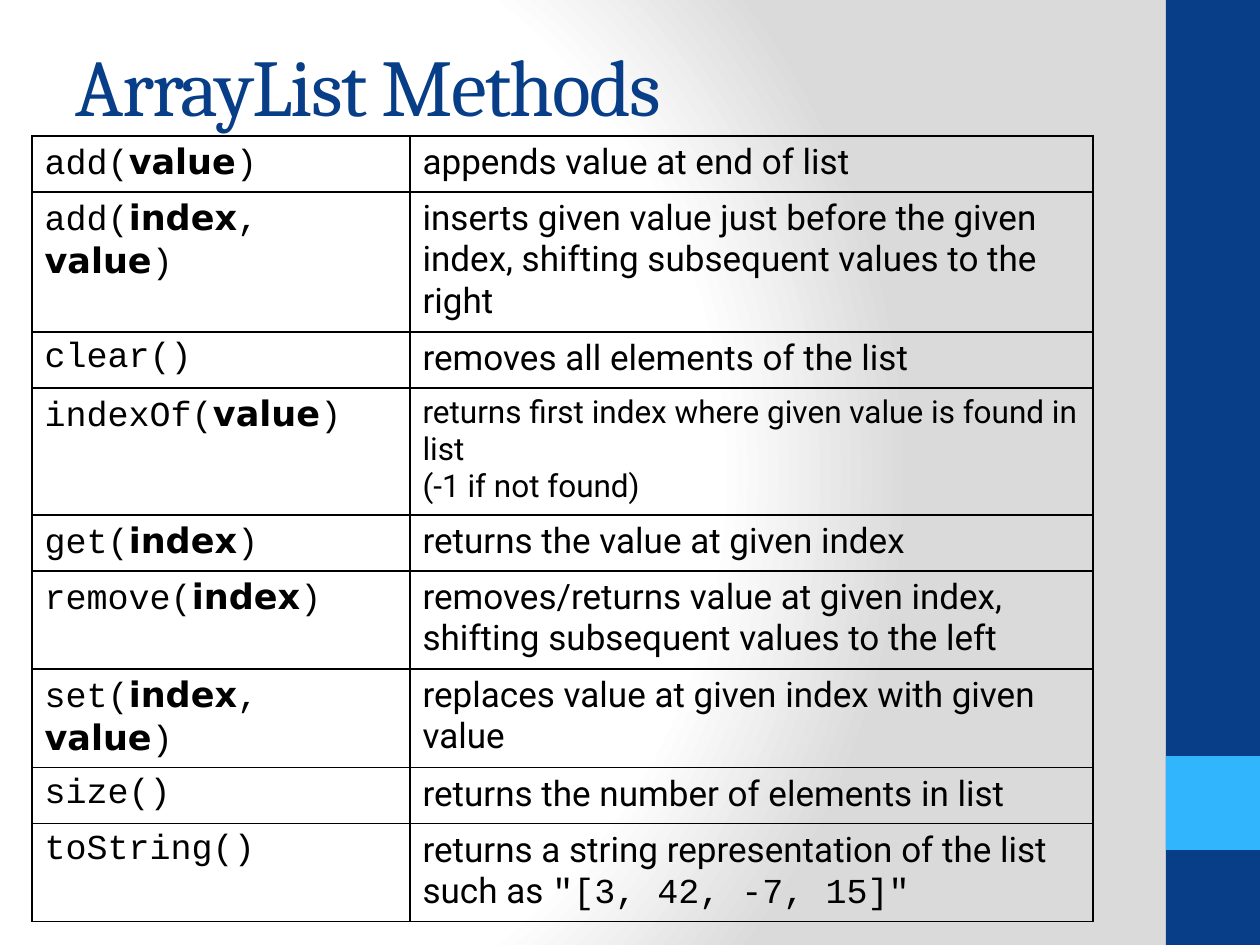
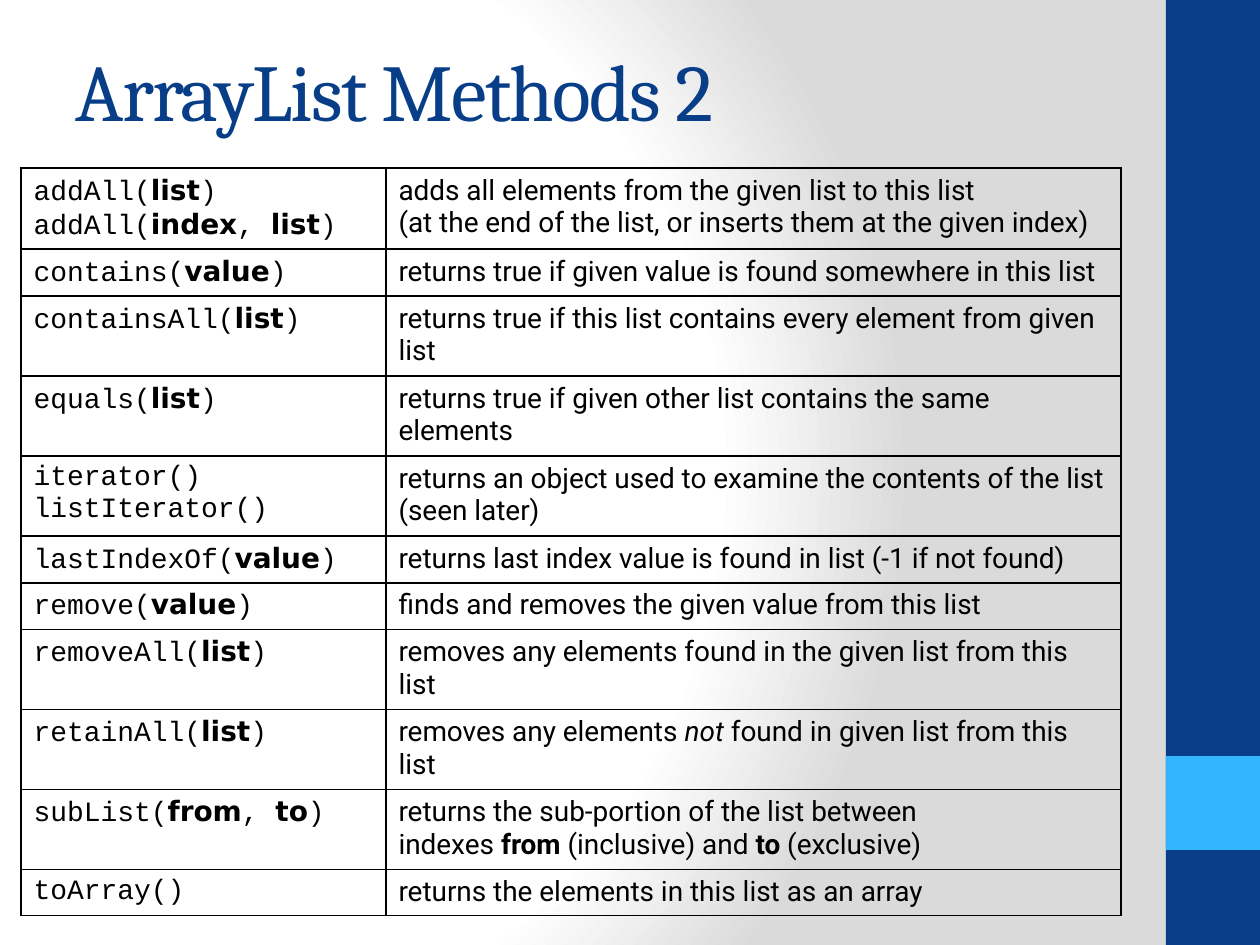
from dataclasses import dataclass

from lxml.etree import SubElement
from pptx import Presentation
from pptx.dml.color import RGBColor
from pptx.enum.shapes import MSO_SHAPE
from pptx.enum.text import MSO_ANCHOR, MSO_AUTO_SIZE, PP_ALIGN
from pptx.oxml.ns import qn
from pptx.util import Emu, Pt

# Shared style
NAVY, SKY, BLACK, WHITE, GREY = "073E87", "31B6FD", "000000", "FFFFFF", "DADADA"
TITLE_FONT, CODE_FONT, ARGUMENT_FONT, TEXT_FONT = (
    "Cambria", "Courier New", "DejaVu Sans", "Roboto")
TITLE_SIZE = 46
PIXELS_PER_INCH = 126
SLIDE_WIDTH, SLIDE_HEIGHT = 1260, 945
TITLE_ONLY = 5

# Inline marks: each one switches a style on or off
BOLD, ITALIC, CODE = "*", "_", "`"
LINE_BREAK = "\v"


@dataclass
class Band:
    left: int
    top: int
    width: int
    height: int
    color: str


@dataclass
class Method:
    signature: str
    description: str
    height: int
    description_size: int | None = None


@dataclass
class MethodSlide:
    title: str
    title_top: int
    left: int
    top: int
    columns: tuple[int, int]
    font_size: int
    methods: list[Method]


BANDS = [
    Band(1166, 0, 94, SLIDE_HEIGHT, NAVY),
    Band(1166, 756, 94, 94, SKY),
]

# Row heights by number of text lines
LARGE_ROW = {1: 56, 2: 98, 3: 140}
SMALL_ROW = {1: 46, 2: 80}

SLIDES = [
    MethodSlide("ArrayList Methods", 5, 32, 136, (378, 683), 20, [
        Method("add(*value*)", "appends value at end of list", LARGE_ROW[1]),
        Method("add(*index*, *value*)",
               "inserts given value just before the given index, "
               "shifting subsequent values to the right", LARGE_ROW[3]),
        Method("clear()", "removes all elements of the list", LARGE_ROW[1]),
        Method("indexOf(*value*)",
               "returns first index where given value is found in list\n"
               "(-1 if not found)", 127, description_size=18),
        Method("get(*index*)", "returns the value at given index", LARGE_ROW[1]),
        Method("remove(*index*)",
               "removes/returns value at given index, "
               "shifting subsequent values to the left", LARGE_ROW[2]),
        Method("set(*index*, *value*)",
               "replaces value at given index with given value", LARGE_ROW[2]),
        Method("size()", "returns the number of elements in list", LARGE_ROW[1]),
        Method("toString()",
               "returns a string representation of the list\n"
               'such as `"[3, 42, -7, 15]"`', LARGE_ROW[2]),
    ]),
    MethodSlide("ArrayList Methods 2", 10, 21, 168, (365, 735), 16, [
        Method("addAll(*list*)\naddAll(*index*, *list*)",
               "adds all elements from the given list to this list\n"
               "(at the end of the list, or inserts them at the given index)",
               SMALL_ROW[2]),
        Method("contains(*value*)",
               "returns true if given value is found somewhere in this list",
               SMALL_ROW[1]),
        Method("containsAll(*list*)",
               "returns true if this list contains every element from given list",
               SMALL_ROW[2]),
        Method("equals(*list*)",
               "returns true if given other list contains the same elements",
               SMALL_ROW[2]),
        Method("iterator()\nlistIterator()",
               "returns an object used to examine the contents of the list "
               "(seen later)", SMALL_ROW[2]),
        Method("lastIndexOf(*value*)",
               "returns last index value is found in list (-1 if not found)",
               SMALL_ROW[1]),
        Method("remove(*value*)",
               "finds and removes the given value from this list", SMALL_ROW[1]),
        Method("removeAll(*list*)",
               "removes any elements found in the given list from this list",
               SMALL_ROW[2]),
        Method("retainAll(*list*)",
               "removes any elements _not_ found in given list from this list",
               SMALL_ROW[2]),
        Method("subList(*from*, *to*)",
               "returns the sub-portion of the list between\v"
               "indexes *from* (inclusive) and *to* (exclusive)", SMALL_ROW[2]),
        Method("toArray()", "returns the elements in this list as an array",
               SMALL_ROW[1]),
    ]),
]


def px(pixels: int) -> Emu:
    return Emu(round(pixels * 914400 / PIXELS_PER_INCH))


def rgb(color: str) -> RGBColor:
    return RGBColor.from_string(color)


def style_font(font, name: str, size: int, color: str) -> None:
    font.name = name
    font.size = Pt(size)
    font.color.rgb = rgb(color)


def set_background(master) -> None:
    """Radial gradient from white to grey."""
    fill = master.background.fill
    fill.gradient()
    gradient = master.element.find(".//" + qn("p:bgPr") + "/" + qn("a:gradFill"))
    for child in list(gradient):
        gradient.remove(child)
    stops = SubElement(gradient, qn("a:gsLst"))
    for position, color in ((0, WHITE), (75, WHITE), (100, GREY)):
        stop = SubElement(stops, qn("a:gs"), pos=str(position * 1000))
        SubElement(stop, qn("a:srgbClr"), val=color)
    circle = SubElement(gradient, qn("a:path"), path="circle")
    SubElement(circle, qn("a:fillToRect"), l="20000", t="50000", r="100000", b="50000")


def move_bands_to_master(slide, master) -> None:
    """Shapes can only be drawn on a slide, so each one is moved afterwards."""
    for band in BANDS:
        shape = slide.shapes.add_shape(
            MSO_SHAPE.RECTANGLE,
            px(band.left), px(band.top), px(band.width), px(band.height))
        shape.shadow.inherit = False
        shape.fill.solid()
        shape.fill.fore_color.rgb = rgb(band.color)
        shape.line.fill.background()
        master.shapes.element.append(shape.element)


def set_title(slide, text: str, top: int) -> None:
    title = slide.shapes.title
    title.left, title.top, title.width, title.height = px(63), px(top), px(1050), px(158)
    frame = title.text_frame
    frame.text = text
    frame.auto_size = MSO_AUTO_SIZE.NONE
    frame.vertical_anchor = MSO_ANCHOR.MIDDLE
    paragraph = frame.paragraphs[0]
    paragraph.alignment = PP_ALIGN.LEFT
    run = paragraph.runs[0]
    style_font(run.font, TITLE_FONT, TITLE_SIZE, NAVY)
    run.font._element.set("spc", "-100")


def write_marked_text(paragraph, text: str, font_name: str, bold_font: str,
                      size: int) -> None:
    """Split the text at its marks and give every piece its style."""
    active: set[str] = set()
    piece = ""

    def finish_piece() -> None:
        if not piece:
            return
        run = paragraph.add_run()
        run.text = piece
        name = bold_font if BOLD in active else CODE_FONT if CODE in active else font_name
        style_font(run.font, name, size, BLACK)
        run.font.bold = BOLD in active
        run.font.italic = ITALIC in active

    for character in text:
        if character in (BOLD, ITALIC, CODE, LINE_BREAK):
            finish_piece()
            piece = ""
            if character == LINE_BREAK:
                paragraph.add_line_break()
            else:
                active ^= {character}
        else:
            piece += character
    finish_piece()


def fill_cell(cell, text: str, font_name: str, bold_font: str, size: int) -> None:
    # Borders come before the fill in the cell properties
    properties = cell._tc.get_or_add_tcPr()
    for side in ("lnL", "lnR", "lnT", "lnB"):
        border = SubElement(properties, qn(f"a:{side}"), w=str(Pt(1)))
        solid = SubElement(border, qn("a:solidFill"))
        SubElement(solid, qn("a:srgbClr"), val=BLACK)
    cell.fill.background()

    frame = cell.text_frame
    for index, line in enumerate(text.split("\n")):
        paragraph = frame.add_paragraph() if index else frame.paragraphs[0]
        write_marked_text(paragraph, line, font_name, bold_font, size)


def add_method_table(slide, content: MethodSlide) -> None:
    methods = content.methods
    table = slide.shapes.add_table(
        len(methods), 2, px(content.left), px(content.top),
        px(sum(content.columns)), px(sum(method.height for method in methods))).table
    table.first_row = False
    table.horz_banding = False
    for column, width in zip(table.columns, content.columns):
        column.width = px(width)
    for index, method in enumerate(methods):
        table.rows[index].height = px(method.height)
        fill_cell(table.cell(index, 0), method.signature,
                  CODE_FONT, ARGUMENT_FONT, content.font_size)
        fill_cell(table.cell(index, 1), method.description, TEXT_FONT, TEXT_FONT,
                  method.description_size or content.font_size)


def main() -> None:
    presentation = Presentation()
    presentation.slide_width = px(SLIDE_WIDTH)
    presentation.slide_height = px(SLIDE_HEIGHT)
    master = presentation.slide_master
    set_background(master)

    for index, content in enumerate(SLIDES):
        slide = presentation.slides.add_slide(presentation.slide_layouts[TITLE_ONLY])
        if index == 0:
            move_bands_to_master(slide, master)
        set_title(slide, content.title, content.title_top)
        add_method_table(slide, content)

    presentation.save("out.pptx")


main()
